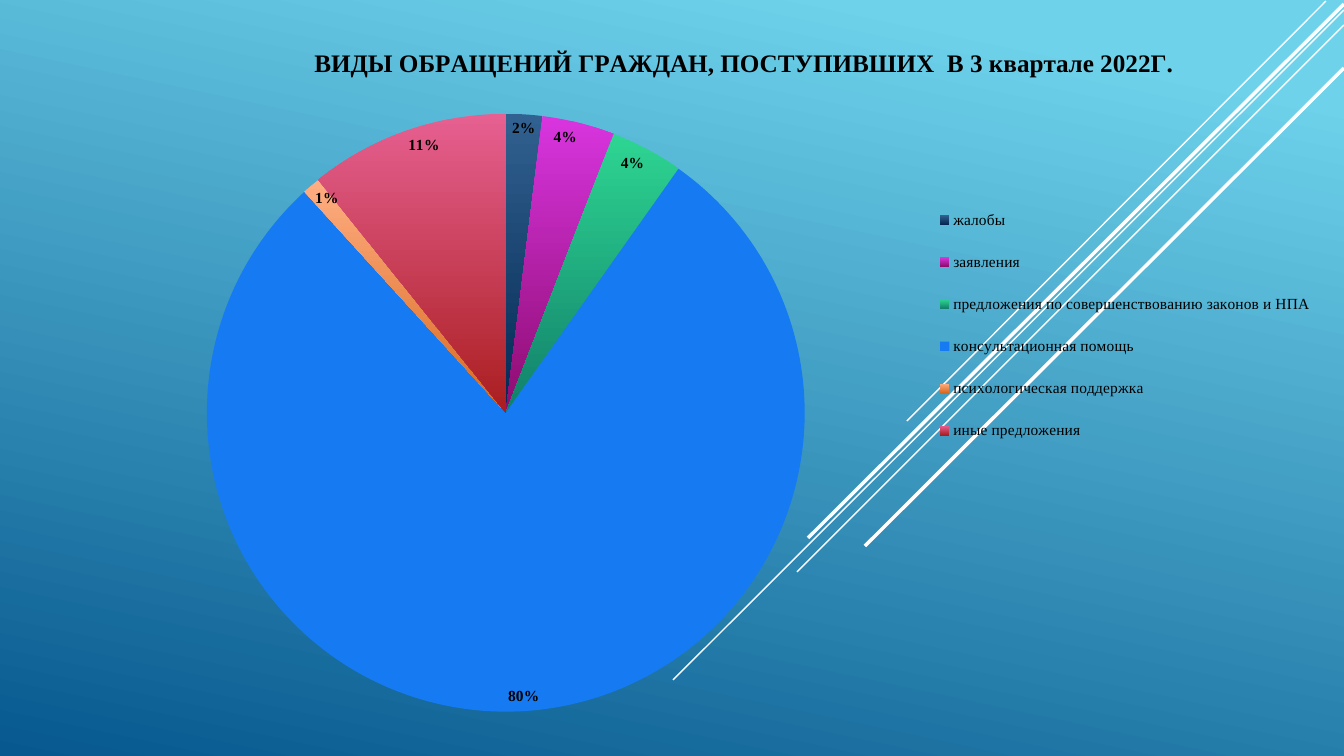
from lxml import etree
from pptx import Presentation
from pptx import util as u
from pptx.chart.data import CategoryChartData
from pptx.dml.color import RGBColor
from pptx.enum import chart as ch, shapes
from pptx.oxml import parse_xml
from pptx.oxml.ns import nsdecls, qn

PX = 914400 / 100.8
SLIDE = (1344, 756)
CHART = (159, 17, 1160, 723)
FONT = "Times New Roman"
COLORS = {"black": "000000", "line": "FFFFFF", "sky": "6ED2EB", "deep": "06588E"}
TITLE = "ВИДЫ ОБРАЩЕНИЙ ГРАЖДАН, ПОСТУПИВШИХ  В 3 квартале 2022Г."

# category, percent, colours from top to bottom
SLICES = [
    ("жалобы", 2, ["316190", "042853"]),
    ("заявления", 4, ["D835DF", "8D0C6F"]),
    ("предложения по совершенствованию законов и НПА", 4, ["2ED592", "11806A"]),
    ("консультационная помощь", 80, ["167BF3"]),
    ("психологическая поддержка", 1, ["FFAE82", "D7681F"]),
    ("иные предложения", 11, ["E66091", "AA1E1F"]),
]
# x1, y1, x2, y2 in px, width in pt
RAYS = [
    (1326, 1, 907, 421, 1),
    (1344, 10, 673, 680, 1),
    (1344, 25, 797, 572, 1),
    (1344, 4, 808, 538, 2.5),
    (1344, 68, 865, 546, 2.5),
]
# boxes in px on the slide
TITLE_AT = (310, 43)
PIE_BOX = (206, 114, 598, 598)
LEGEND_BOX = (935, 186, 380, 278)


def px(n):
    return u.Emu(round(n * PX))


def rgb(name):
    return RGBColor.from_string(COLORS.get(name, name))


def set_gradient(fill, colors, angle, start=0):
    """Two-stop gradient; angle runs clockwise, start is a fraction."""
    fill.gradient()
    fill.gradient_angle = 360 - angle
    for stop, color, pos in zip(fill.gradient_stops, colors, (start, 1)):
        stop.color.rgb = rgb(color)
        stop.position = pos


def set_font(font, size, bold=False):
    font.name, font.size, font.bold = FONT, u.Pt(size), bold
    font.color.rgb = rgb("black")


def place(element, box, before, inner=False):
    """Put a chart part at a px box, ahead of the first child named in before."""
    for old in element.findall(qn("c:layout")):
        element.remove(old)
    left, top, width, height = CHART
    fractions = [(box[0] - left) / width, (box[1] - top) / height]
    fractions += [n / full for n, full in zip(box[2:], (width, height))]
    layout = parse_xml(f"<c:layout {nsdecls('c')}><c:manualLayout/></c:layout>")
    manual = layout[0]
    rows = [("layoutTarget", "inner")] if inner else []
    rows += [("xMode", "edge"), ("yMode", "edge")]
    rows += [(k, f"{v:.3f}") for k, v in zip("xywh", fractions)]
    for tag, val in rows:
        etree.SubElement(manual, qn(f"c:{tag}")).set("val", val)
    following = next(e for e in element if e.tag in [qn(f"c:{t}") for t in before])
    following.addprevious(layout)


def add_ray(s, x1, y1, x2, y2, width):
    ray = s.shapes.add_connector(shapes.MSO_CONNECTOR.STRAIGHT,
                                 px(x1), px(y1), px(x2), px(y2))
    ray.line.color.rgb = rgb("line")
    ray.line.width = u.Pt(width)
    etree.SubElement(ray._element.spPr, qn("a:effectLst"))


def add_pie(s):
    data = CategoryChartData()
    data.categories = [name for name, _, _ in SLICES]
    data.add_series("Series 1", [percent for _, percent, _ in SLICES])
    chart = s.shapes.add_chart(ch.XL_CHART_TYPE.PIE, *map(px, CHART), data).chart
    set_font(chart.font, 10)

    chart.has_title = True
    tf = chart.chart_title.text_frame
    tf.text = TITLE
    set_font(tf.paragraphs[0].runs[0].font, 18, True)
    chart.chart_title.include_in_layout = False

    chart.has_legend = True
    chart.legend.position = ch.XL_LEGEND_POSITION.BOTTOM
    chart.legend.include_in_layout = False
    set_font(chart.legend.font, 11)

    plot = chart.plots[0]
    plot.vary_by_categories = True
    plot.has_data_labels = True
    labels = plot.data_labels
    labels.show_value = True
    labels.number_format, labels.number_format_is_linked = '0"%"', False
    labels.position = ch.XL_LABEL_POSITION.INSIDE_END
    set_font(labels.font, 11, True)

    for i, (_, _, colors) in enumerate(SLICES):
        fmt = plot.series[0].points[i].format
        if len(colors) == 2:
            set_gradient(fmt.fill, colors, 90)
        else:
            fmt.fill.solid()
            fmt.fill.fore_color.rgb = rgb(colors[0])
        fmt.line.fill.background()

    area = chart._chartSpace.chart
    place(area.find(qn("c:title")), TITLE_AT, ["overlay"])
    place(area.plotArea, PIE_BOX, ["pieChart"], inner=True)
    place(area.find(qn("c:legend")), LEGEND_BOX, ["overlay", "spPr", "txPr"])


def main():
    prs = Presentation()
    prs.slide_width, prs.slide_height = map(px, SLIDE)
    s = prs.slides.add_slide(prs.slide_layouts[6])
    set_gradient(s.background.fill, ("sky", "deep"), 102, start=0.1)
    for ray in RAYS:
        add_ray(s, *ray)
    add_pie(s)
    prs.save("out.pptx")


if __name__ == "__main__":
    main()
